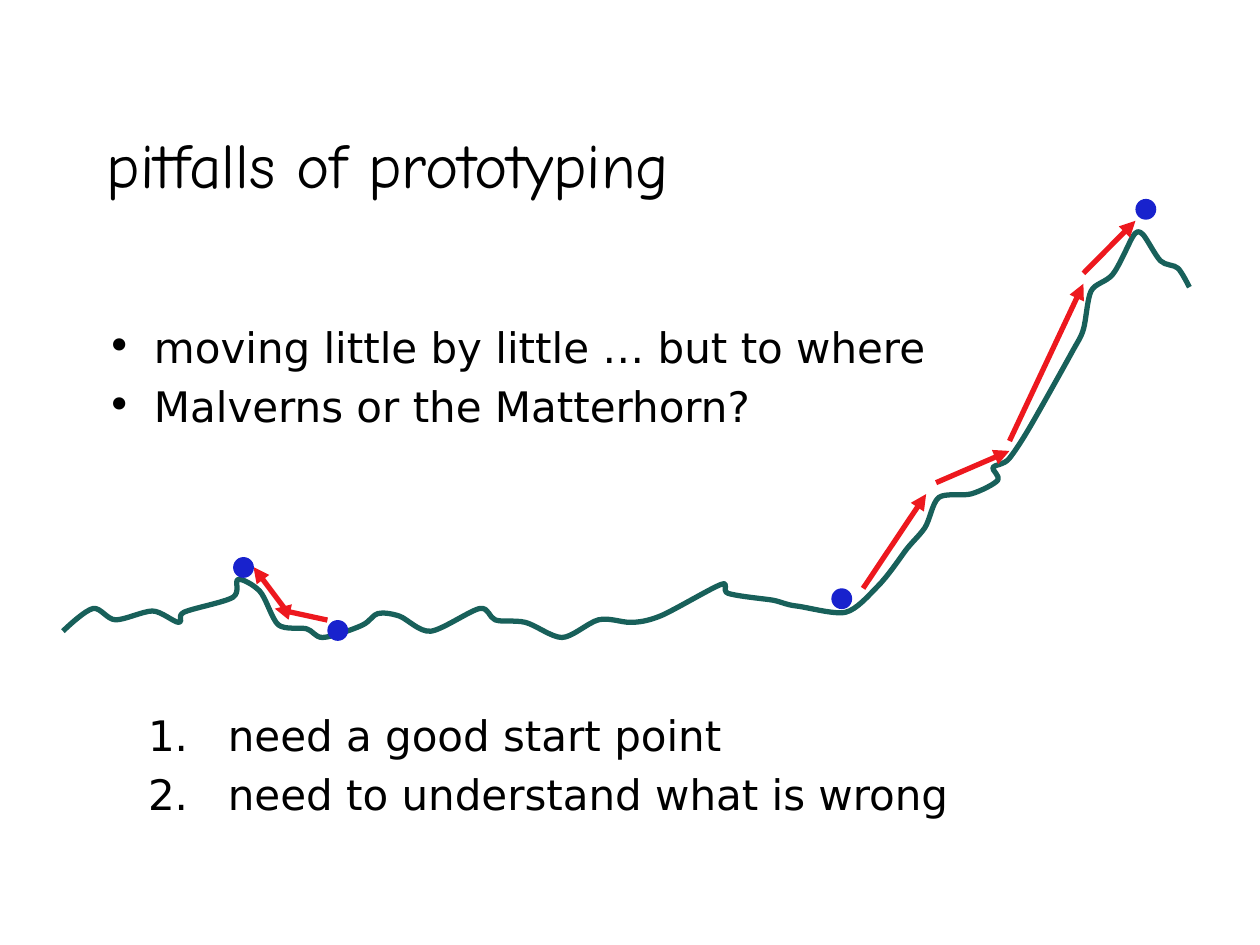
from dataclasses import dataclass
from typing import NamedTuple

from lxml.etree import SubElement
from pptx import Presentation
from pptx.dml.color import RGBColor
from pptx.enum.shapes import MSO_CONNECTOR as Connector, MSO_SHAPE as Shape
from pptx.enum.text import MSO_ANCHOR as Anchor, MSO_AUTO_SIZE as AutoSize, PP_ALIGN as Align
from pptx.oxml.ns import qn
from pptx.util import Cm, Pt


@dataclass(frozen=True)
class Theme:
    ink: RGBColor = RGBColor.from_string("000000")
    ground: RGBColor = RGBColor.from_string("18605A")
    step: RGBColor = RGBColor.from_string("ED181E")
    ball: RGBColor = RGBColor.from_string("1822CD")
    title_font: str = "Comic Neue"
    body_font: str = "DejaVu Sans"
    title_size: Pt = Pt(36)
    body_size: Pt = Pt(24)
    line_width: Pt = Pt(3)


class Box(NamedTuple):
    top: float
    width: float
    height: float


class Arrow(NamedTuple):
    start_x: float
    start_y: float
    end_x: float
    end_y: float


class Point(NamedTuple):
    x: float
    y: float


THEME = Theme()

# Lengths in centimetres
LEFT_MARGIN = 1.9
BALL_SIZE = 0.42
TITLE_BOX = Box(1.7, 19.05, 3.18)
BULLET_BOX = Box(6.35, 21.59, 3.38)
NUMBER_BOX = Box(14.17, 21.59, 2.74)

ARROWS = [
    Arrow(6.6, 12.5, 5.54, 12.27),
    Arrow(5.74, 12.27, 5.11, 11.43),
    Arrow(17.4, 11.86, 18.67, 9.96),
    Arrow(18.87, 9.73, 20.35, 9.09),
    Arrow(20.35, 8.89, 21.84, 5.72),
    Arrow(21.84, 5.51, 22.89, 4.45),
]
BALLS = [Point(6.6, 12.5), Point(4.7, 11.23), Point(16.76, 11.86), Point(22.89, 4.01)]

# Turning points of the landscape, 100 units to 2.54 cm
LANDSCAPE_UNIT = Cm(2.54) / 100
CURVE_TENSION = 1 / 7
LANDSCAPE = [
    (50, 501), (74, 483), (92, 492), (121, 485), (142, 494), (146, 486),
    (185, 474), (189, 460), (206, 469), (221, 496), (243, 499), (256, 506),
    (288, 496), (300, 487), (317, 489), (342, 501), (381, 483), (393, 492),
    (417, 494), (446, 506), (475, 492), (500, 494), (524, 489), (572, 464),
    (578, 471), (611, 476), (632, 481), (671, 486), (697, 465), (718, 438),
    (734, 419), (745, 395), (771, 392), (792, 381), (788, 371), (801, 364),
    (818, 338), (850, 281), (860, 261), (866, 231), (883, 218), (899, 188),
    (907, 186), (921, 207), (935, 213), (944, 228),
]


def fill_placeholder(shape, box: Box, lines: list[str], font: str, size: Pt) -> None:
    shape.left = Cm(LEFT_MARGIN)
    shape.top, shape.width, shape.height = map(Cm, box)
    text_frame = shape.text_frame
    text_frame.auto_size = AutoSize.NONE
    text_frame.text = "\n".join(lines)
    text_frame.paragraphs[0].space_before = Pt(0)
    for paragraph in text_frame.paragraphs:
        paragraph.alignment = Align.LEFT
        for run in paragraph.runs:
            run.font.name, run.font.size = font, size
            run.font.color.rgb = THEME.ink


def set_list(shape, margin: Cm, hanging: Cm, kind: str, **marker: str) -> None:
    for paragraph in shape.text_frame.paragraphs:
        properties = paragraph._p.get_or_add_pPr()
        properties.set("marL", str(margin))
        properties.set("indent", str(-hanging))
        SubElement(properties, qn("a:buFont"), typeface=THEME.body_font)
        SubElement(properties, qn(kind), **marker)


def smooth_controls(points: list[tuple]) -> list[tuple]:
    """Three Bezier points for each stretch of a curve through all the points."""
    padded = [points[0], *points, points[-1]]
    controls = []
    for before, start, end, after in zip(padded, padded[1:], padded[2:], padded[3:]):
        leave = tuple(s + (e - b) * CURVE_TENSION for b, s, e in zip(before, start, end))
        arrive = tuple(e - (a - s) * CURVE_TENSION for s, e, a in zip(start, end, after))
        controls += [leave, arrive, end]
    return controls


def add_landscape(slide) -> None:
    builder = slide.shapes.build_freeform(*LANDSCAPE[0], scale=LANDSCAPE_UNIT)
    builder.add_line_segments(smooth_controls(LANDSCAPE), close=False)
    shape = builder.convert_to_shape()
    shape.shadow.inherit = False
    shape.fill.background()
    shape.line.color.rgb, shape.line.width = THEME.ground, THEME.line_width
    # Gather every three straight segments into one Bezier curve
    outline = next(shape._element.iter(qn("a:path")))
    segments = outline.findall(qn("a:lnTo"))
    for first in range(0, len(segments), 3):
        curve = SubElement(outline, qn("a:cubicBezTo"))
        for segment in segments[first:first + 3]:
            curve.append(segment[0])
            outline.remove(segment)


def add_arrow(slide, arrow: Arrow) -> None:
    connector = slide.shapes.add_connector(Connector.STRAIGHT, *map(Cm, arrow))
    connector.line.color.rgb, connector.line.width = THEME.step, THEME.line_width
    SubElement(connector.line._get_or_add_ln(), qn("a:tailEnd"), type="triangle")
    SubElement(connector._element.spPr, qn("a:effectLst"))


def add_ball(slide, corner: Point) -> None:
    shape = slide.shapes.add_shape(Shape.OVAL, *map(Cm, (*corner, BALL_SIZE, BALL_SIZE)))
    shape.shadow.inherit = False
    shape.fill.solid()
    shape.fill.fore_color.rgb = THEME.ball
    shape.line.fill.background()


def main() -> None:
    presentation = Presentation()
    presentation.slide_width, presentation.slide_height = Cm(25.4), Cm(19.05)
    slide = presentation.slides.add_slide(presentation.slide_layouts.get_by_name("Two Content"))
    title, bullets, numbers = list(slide.placeholders)[:3]

    # Title and lists
    fill_placeholder(title, TITLE_BOX, ["pitfalls of prototyping"], THEME.title_font, THEME.title_size)
    title.text_frame.vertical_anchor = Anchor.MIDDLE
    fill_placeholder(bullets, BULLET_BOX,
                     ["moving little by little … but to where", "Malverns or the Matterhorn?"],
                     THEME.body_font, THEME.body_size)
    set_list(bullets, Cm(0.95), Cm(0.95), "a:buChar", char="•")
    fill_placeholder(numbers, NUMBER_BOX,
                     ["need a good start point", "need to understand what is wrong"],
                     THEME.body_font, THEME.body_size)
    set_list(numbers, Cm(2.44), Cm(1.61), "a:buAutoNum", type="arabicPeriod")

    # Hills with the steps that climb them
    add_landscape(slide)
    for arrow in ARROWS:
        add_arrow(slide, arrow)
    for corner in BALLS:
        add_ball(slide, corner)

    presentation.save("out.pptx")


if __name__ == "__main__":
    main()
